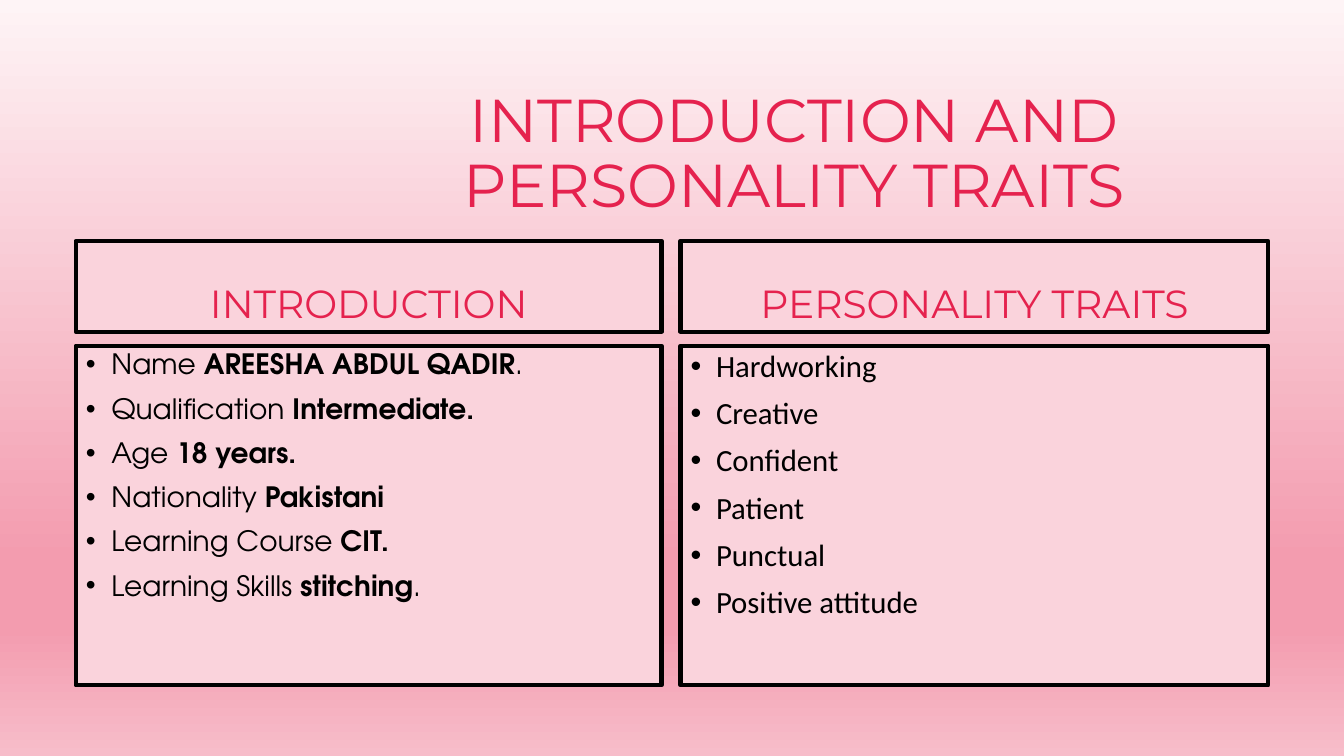
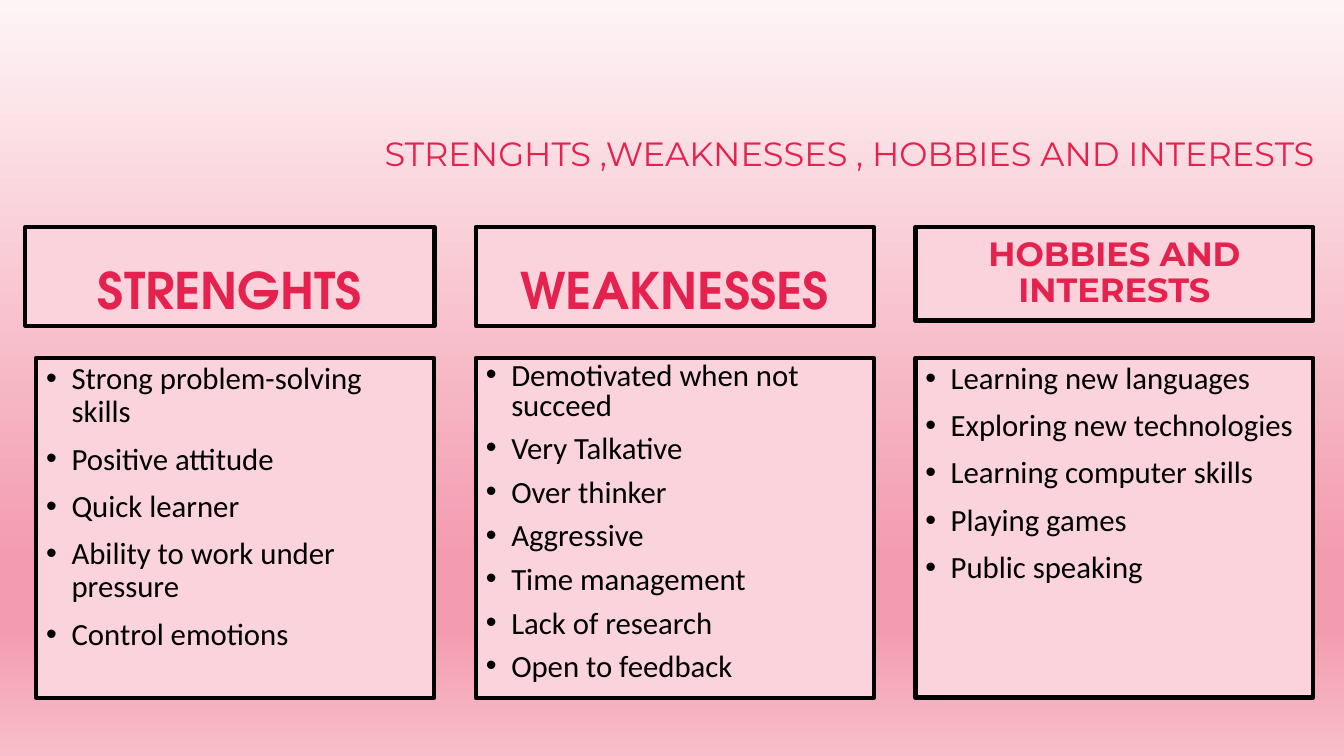
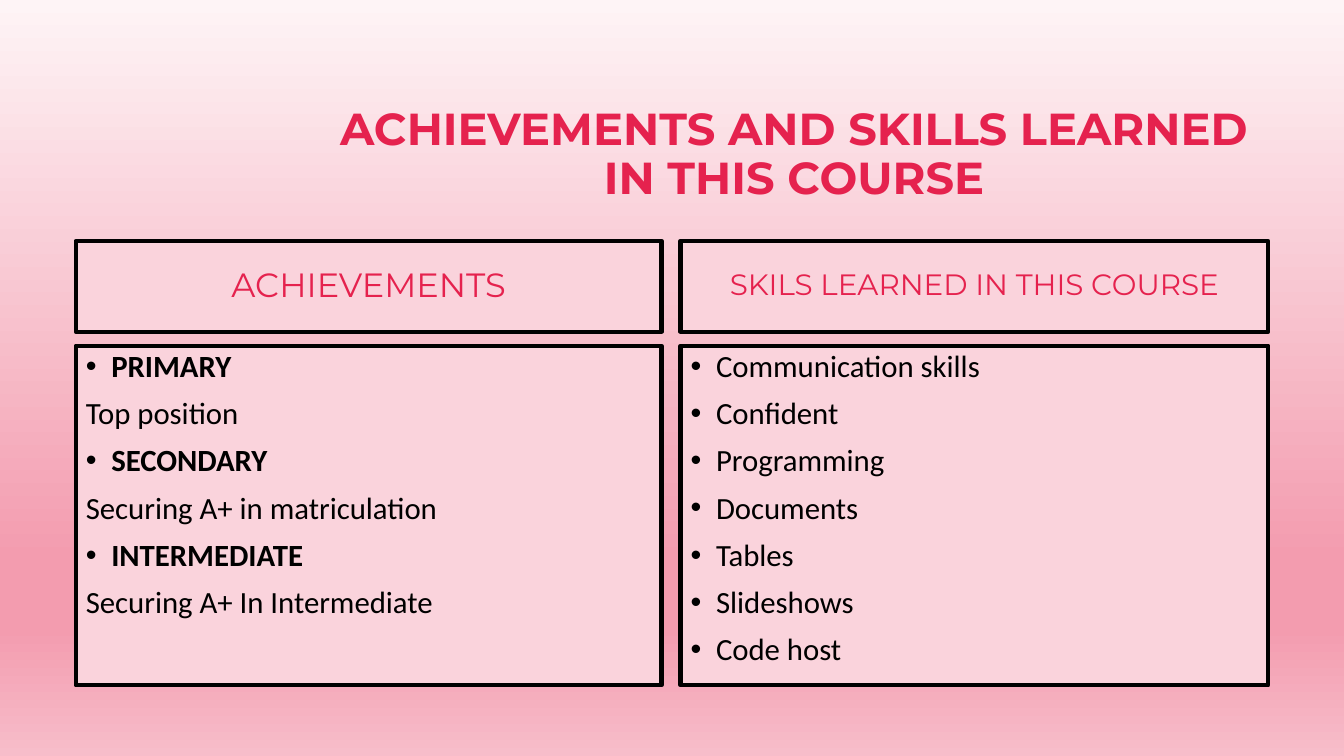
from typing import NamedTuple

from lxml.etree import SubElement
from pptx import Presentation
from pptx.dml.color import RGBColor
from pptx.enum.shapes import MSO_SHAPE
from pptx.enum.text import MSO_ANCHOR, MSO_AUTO_SIZE, PP_ALIGN
from pptx.oxml.ns import qn
from pptx.util import Cm, Pt

# Shared look
CRIMSON = RGBColor(0xE5, 0x22, 0x4E)
PALE_PINK = RGBColor(0xFA, 0xD3, 0xDC)
BLACK = RGBColor(0x00, 0x00, 0x00)
BACKGROUND_STOPS = (
    (0, RGBColor(0xFE, 0xF4, 0xF6)),
    (74, RGBColor(0xF3, 0x9C, 0xAF)),
    (83, RGBColor(0xF3, 0x9C, 0xAF)),
    (100, RGBColor(0xF7, 0xBD, 0xCA)),
)
HEADING_FONT = "Montserrat"
DISPLAY_FONT = "TeX Gyre Adventor"
BODY_FONT = "Calibri"
BULLET_INDENT = Cm(0.64)
COMPARISON_LAYOUT = 4


class Box(NamedTuple):
    """Position and size in centimetres."""
    left: float
    top: float
    width: float
    height: float


class TextStyle(NamedTuple):
    font: str
    size: float
    color: RGBColor = CRIMSON
    bold: bool = False
    anchor: MSO_ANCHOR = MSO_ANCHOR.MIDDLE
    alignment: PP_ALIGN = PP_ALIGN.CENTER
    line_spacing: float = 0.9


class Item(NamedTuple):
    """A list line: plain text, bold text, plain ending."""
    plain: str = ""
    bold: str = ""
    ending: str = ""
    bulleted: bool = True


class Column(NamedTuple):
    heading: str
    heading_box: Box
    heading_style: TextStyle
    items: list[Item]
    list_box: Box
    list_style: TextStyle


class Page(NamedTuple):
    title: str
    title_box: Box
    title_style: TextStyle
    columns: list[Column]


LIST = TextStyle(BODY_FONT, 22, BLACK, anchor=MSO_ANCHOR.TOP, alignment=PP_ALIGN.LEFT)
HEADING = TextStyle(HEADING_FONT, 28, anchor=MSO_ANCHOR.BOTTOM)
STRONG_HEADING = TextStyle(DISPLAY_FONT, 36, bold=True, anchor=MSO_ANCHOR.BOTTOM)

# Grids
TITLE_BOX = Box(8.05, 2.11, 23.93, 3.61)
PAIR_COLUMNS = ((1.91, 14.76), (17.15, 14.81))
PAIR_HEADINGS = [Box(left, 6.07, width, 2.29) for left, width in PAIR_COLUMNS]
PAIR_LISTS = [Box(left, 8.71, width, 8.56) for left, width in PAIR_COLUMNS]
TRIO_LEFTS = [0.91 + 11.08 * column for column in range(3)]
TRIO_LISTS = [Box(left, 9.02, 10.03, 8.56) for left in TRIO_LEFTS]
TRIO_HEADINGS = [
    Box(0.64, 5.72, 10.31, 2.49),
    Box(TRIO_LEFTS[1], 5.72, 10.03, 2.49),
    Box(TRIO_LEFTS[2], 5.72, 10.03, 2.36),
]


def plain_items(*texts: str) -> list[Item]:
    return [Item(text) for text in texts]


PAGES = [
    Page("INTRODUCTION AND PERSONALITY TRAITS", TITLE_BOX, TextStyle(HEADING_FONT, 43.2), [
        Column("INTRODUCTION", PAIR_HEADINGS[0], HEADING, [
            Item("Name ", "AREESHA ABDUL QADIR", "."),
            Item("Qualification ", "Intermediate."),
            Item("Age", " 18 years."),
            Item("Nationality ", "Pakistani"),
            Item("Learning Course ", "CIT."),
            Item("Learning Skills ", "stitching", "."),
        ], PAIR_LISTS[0], LIST._replace(font=DISPLAY_FONT, size=20)),
        Column("PERSONALITY TRAITS", PAIR_HEADINGS[1], HEADING, plain_items(
            "Hardworking", "Creative", "Confident", "Patient", "Punctual",
            "Positive attitude",
        ), PAIR_LISTS[1], LIST),
    ]),
    Page("STRENGHTS ,WEAKNESSES , HOBBIES AND INTERESTS", Box(8.94, 2.11, 24.93, 3.61),
         TextStyle(HEADING_FONT, 24), [
        Column("STRENGHTS", TRIO_HEADINGS[0], STRONG_HEADING, plain_items(
            "Strong problem-solving skills", "Positive attitude", "Quick learner",
            "Ability to work under pressure", "Control emotions",
        ), TRIO_LISTS[0], LIST),
        Column("WEAKNESSES", TRIO_HEADINGS[1], STRONG_HEADING, plain_items(
            "Demotivated when not succeed", "Very Talkative", "Over thinker",
            "Aggressive", "Time management", "Lack of research", "Open to feedback",
        ), TRIO_LISTS[1], LIST._replace(line_spacing=0.8)),
        Column("HOBBIES AND INTERESTS", TRIO_HEADINGS[2],
               TextStyle(HEADING_FONT, 24, bold=True), plain_items(
            "Learning new languages", "Exploring new technologies",
            "Learning computer skills", "Playing games", "Public speaking",
        ), TRIO_LISTS[2], LIST),
    ]),
    Page("ACHIEVEMENTS AND SKILLS LEARNED IN THIS COURSE", TITLE_BOX,
         TextStyle(HEADING_FONT, 32, bold=True), [
        Column("ACHIEVEMENTS", PAIR_HEADINGS[0], TextStyle(HEADING_FONT, 24), [
            Item(bold="PRIMARY"),
            Item("Top position", bulleted=False),
            Item(bold="SECONDARY"),
            Item("Securing A+ in matriculation", bulleted=False),
            Item(bold="INTERMEDIATE"),
            Item("Securing A+ In Intermediate", bulleted=False),
        ], PAIR_LISTS[0], LIST._replace(alignment=PP_ALIGN.JUSTIFY)),
        Column("SKILS LEARNED IN THIS COURSE", PAIR_HEADINGS[1],
               TextStyle(HEADING_FONT, 21), plain_items(
            "Communication skills", "Confident", "Programming", "Documents",
            "Tables", "Slideshows", "Code host",
        ), PAIR_LISTS[1], LIST),
    ]),
]


def set_background(master) -> None:
    """Give every slide the vertical pink gradient."""
    fill = master.background.fill
    fill.gradient()
    fill.gradient_angle = 270
    stop_list = master.element.find(".//" + qn("a:gsLst"))
    for stop in list(stop_list):
        stop_list.remove(stop)
    for percent, color in BACKGROUND_STOPS:
        stop = SubElement(stop_list, qn("a:gs"), pos=str(percent * 1000))
        SubElement(stop, qn("a:srgbClr"), val=str(color))


def place(shape, box: Box) -> None:
    shape.left, shape.top, shape.width, shape.height = map(Cm, box)


def frame(shape) -> None:
    """Pink panel with a black border."""
    shape.fill.solid()
    shape.fill.fore_color.rgb = PALE_PINK
    shape.line.color.rgb = BLACK
    shape.line.width = Pt(3)


def set_bullet(paragraph, bulleted: bool) -> None:
    properties = paragraph._p.get_or_add_pPr()
    indent = BULLET_INDENT if bulleted else 0
    properties.set("marL", str(indent))
    properties.set("indent", str(-indent))
    if bulleted:
        SubElement(properties, qn("a:buFont"), typeface="Arial")
        SubElement(properties, qn("a:buChar"), char="•")
    else:
        SubElement(properties, qn("a:buNone"))


def write(shape, items: list[Item], style: TextStyle) -> None:
    text_frame = shape.text_frame
    text_frame.word_wrap = True
    text_frame.auto_size = MSO_AUTO_SIZE.NONE
    text_frame.vertical_anchor = style.anchor
    for index, item in enumerate(items):
        paragraph = text_frame.add_paragraph() if index else text_frame.paragraphs[0]
        set_bullet(paragraph, item.bulleted)
        paragraph.alignment = style.alignment
        paragraph.line_spacing = style.line_spacing
        paragraph.space_before = Pt(10 if index else 0)
        for text, bold in ((item.plain, style.bold), (item.bold, True), (item.ending, style.bold)):
            if text:
                run = paragraph.add_run()
                run.text = text
                run.font.name = style.font
                run.font.size = Pt(style.size)
                run.font.bold = bold
                run.font.color.rgb = style.color


def get_panel(slide, index: int, box: Box):
    """Use the layout's placeholder, or a rectangle once those run out."""
    if index < len(slide.placeholders):
        shape = slide.placeholders[index]
        place(shape, box)
    else:
        shape = slide.shapes.add_shape(MSO_SHAPE.RECTANGLE, *map(Cm, box))
        shape.shadow.inherit = False
    frame(shape)
    return shape


def add_page(presentation, page: Page) -> None:
    slide = presentation.slides.add_slide(presentation.slide_layouts[COMPARISON_LAYOUT])
    place(slide.shapes.title, page.title_box)
    write(slide.shapes.title, [Item(page.title, bulleted=False)], page.title_style)
    for number, column in enumerate(page.columns):
        heading = get_panel(slide, 2 * number + 1, column.heading_box)
        write(heading, [Item(column.heading, bulleted=False)], column.heading_style)
        panel = get_panel(slide, 2 * number + 2, column.list_box)
        write(panel, column.items, column.list_style)


def main() -> None:
    presentation = Presentation()
    presentation.slide_width = Cm(33.87)
    presentation.slide_height = Cm(19.05)
    set_background(presentation.slide_master)
    for page in PAGES:
        add_page(presentation, page)
    presentation.save("out.pptx")


if __name__ == "__main__":
    main()
